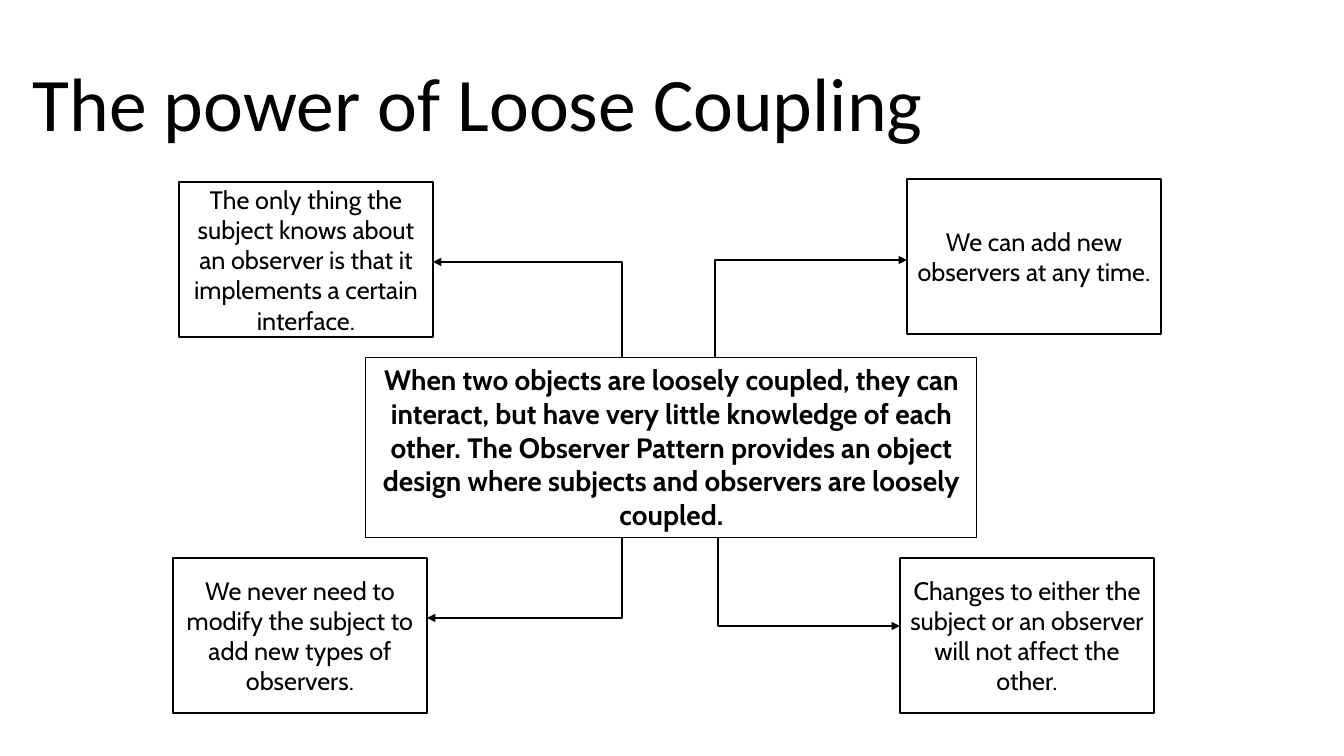
from pptx import Presentation, util as u
from pptx.dml.color import RGBColor
from pptx.enum import shapes, text
from pptx.oxml.ns import qn
from lxml import etree

# Content: text, box corner, bend x, arrow height
TITLE = "The power of Loose Coupling"
CORE = ("When two objects are loosely coupled, they can interact, but have very "
        "little knowledge of each other. The Observer Pattern provides an object "
        "design where subjects and observers are loosely coupled.")
POINTS = [
    ("The only thing the subject knows about an observer is that it "
     "implements a certain interface.", (179, 182), 622, 262),
    ("We can add new observers at any time.", (907, 179), 715, 260),
    ("We never need to modify the subject to add new types of observers.",
     (173, 558), 622, 618),
    ("Changes to either the subject or an observer will not affect the other.",
     (900, 558), 718, 626),
]
THEME = {
    "ink": RGBColor(0, 0, 0), "paper": RGBColor(255, 255, 255),
    "head": ("Calibri", 54, False), "core": ("Cabin", 20, True),
    "point": ("Cabin", 18, False),
    "thin": 0.75, "edge": 1, "arrow": 1.5,
}

# Layout in pixels
WIDE, HIGH = 1344, 756
HEAD_BOX = (18, 51, 920, 102)
CORE_BOX = (366, 358, 611, 180)
SIZE = (254, 155)


def px(n):
    return u.Emu(round(n * 914400 / 100.8))


def write(shape, words, style, anchor, wrap=True, grow=False):
    font, size, bold = THEME[style]
    frame = shape.text_frame
    frame.text = words
    frame.word_wrap = wrap
    frame.vertical_anchor = anchor
    frame.auto_size = (text.MSO_AUTO_SIZE.SHAPE_TO_FIT_TEXT if grow
                       else text.MSO_AUTO_SIZE.NONE)
    para = frame.paragraphs[0]
    para.alignment = text.PP_ALIGN.CENTER
    for run in para.runs:
        run.font.name, run.font.size, run.font.bold = font, u.Pt(size), bold
        run.font.color.rgb = THEME["ink"]


def draw_box(box, edge, fill):
    shape = slide.shapes.add_shape(shapes.MSO_SHAPE.RECTANGLE, *map(px, box))
    shape.shadow.inherit = False
    if fill:
        shape.fill.solid()
        shape.fill.fore_color.rgb = THEME["paper"]
    else:
        shape.fill.background()
    shape.line.color.rgb = THEME["ink"]
    shape.line.width = u.Pt(THEME[edge])
    return shape


def draw_arrow(start, end):
    link = slide.shapes.add_connector(
        shapes.MSO_CONNECTOR.ELBOW, *map(px, start + end))
    link.line.color.rgb = THEME["ink"]
    link.line.width = u.Pt(THEME["arrow"])
    props = link._element.spPr
    etree.SubElement(props.find(qn("a:ln")), qn("a:tailEnd"), type="triangle")
    etree.SubElement(props, qn("a:effectLst"))
    # Bend at the start, so the line leaves the core upright
    geom = props.find(qn("a:prstGeom"))
    guides = geom.find(qn("a:avLst"))
    if guides is None:
        guides = etree.SubElement(geom, qn("a:avLst"))
    etree.SubElement(guides, qn("a:gd"), name="adj1", fmla="val 0")


deck = Presentation()
deck.slide_width, deck.slide_height = px(WIDE), px(HIGH)
slide = deck.slides.add_slide(deck.slide_layouts[5])

# Title
head = slide.shapes.title
head.left, head.top, head.width, head.height = map(px, HEAD_BOX)
write(head, TITLE, "head", text.MSO_ANCHOR.TOP, wrap=False, grow=True)

# Core statement
core = draw_box(CORE_BOX, "thin", fill=False)
write(core, CORE, "core", text.MSO_ANCHOR.TOP, grow=True)

# Four points, each with an arrow from the core
left, top, width, height = CORE_BOX
for words, (x, y), bend, level in POINTS:
    point = draw_box((x, y) + SIZE, "edge", fill=True)
    write(point, words, "point", text.MSO_ANCHOR.MIDDLE)
    near = x + SIZE[0] if x < left else x
    edge = top if y < top else top + height
    draw_arrow((bend, edge), (near, level))

deck.save("out.pptx")
